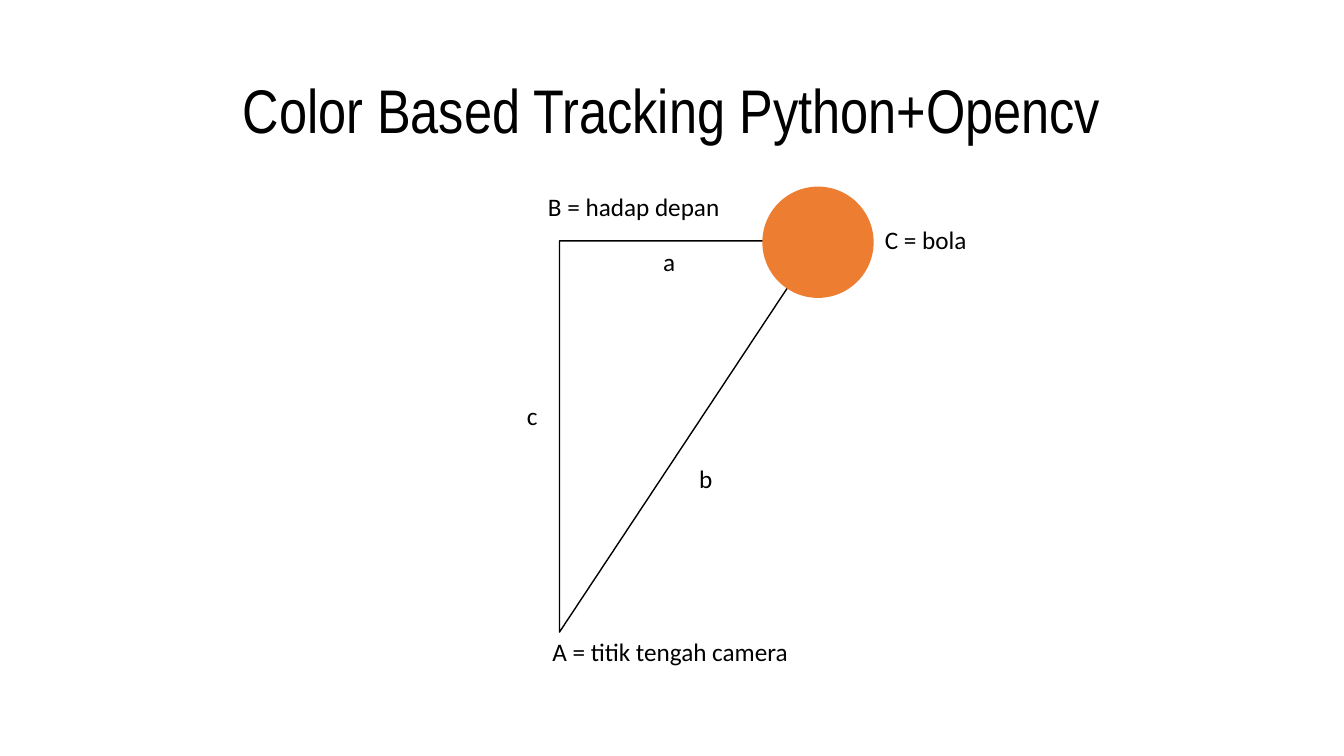
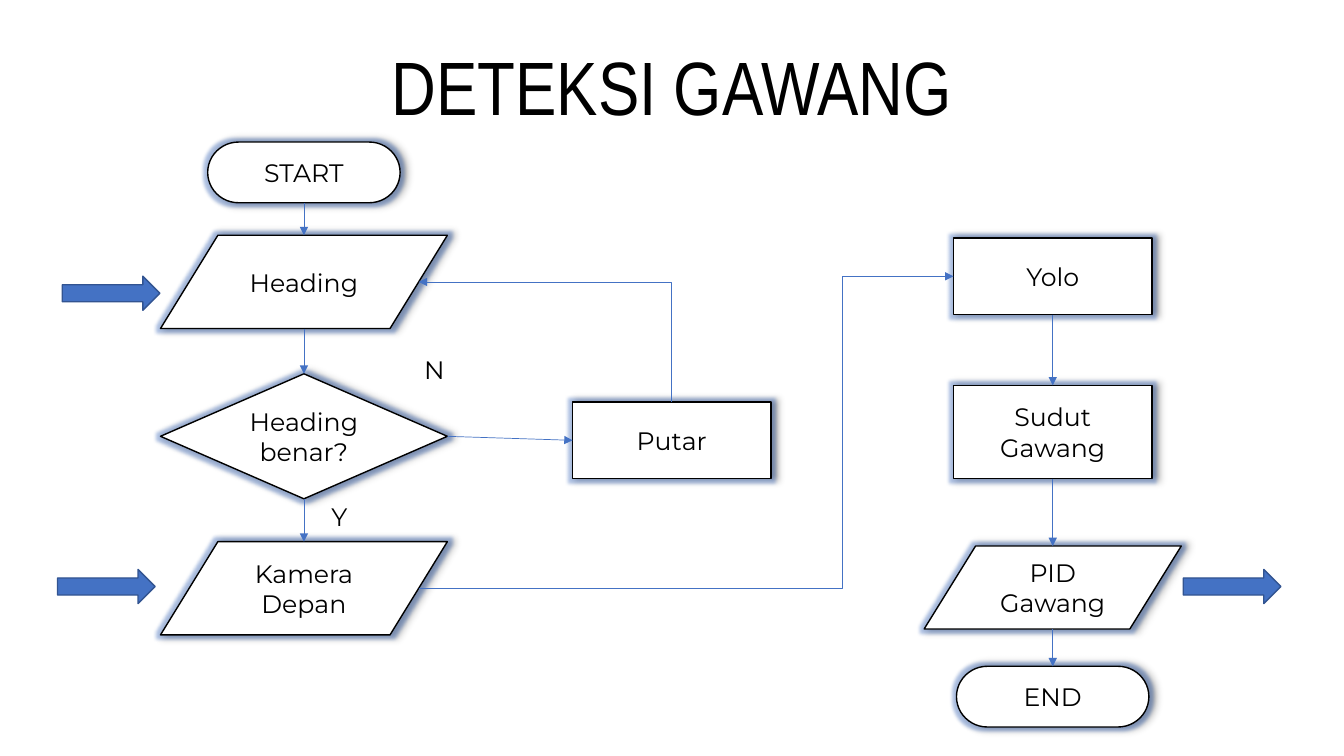
from dataclasses import dataclass

from lxml import etree
from pptx import Presentation
from pptx.dml.color import RGBColor
from pptx.enum.shapes import MSO_CONNECTOR, MSO_SHAPE
from pptx.enum.text import MSO_ANCHOR, MSO_AUTO_SIZE, PP_ALIGN
from pptx.oxml import parse_xml
from pptx.oxml.ns import nsdecls, qn
from pptx.util import Cm, Pt

TERMINATOR = MSO_SHAPE.FLOWCHART_TERMINATOR
INPUT_OUTPUT = MSO_SHAPE.FLOWCHART_DATA
PROCESS = MSO_SHAPE.FLOWCHART_PROCESS
DECISION = MSO_SHAPE.FLOWCHART_DECISION
STRAIGHT, ELBOW = MSO_CONNECTOR.STRAIGHT, MSO_CONNECTOR.ELBOW
LEFT, CENTER = PP_ALIGN.LEFT, PP_ALIGN.CENTER
TITLE_ONLY = 5


@dataclass(frozen=True)
class Theme:
    ink: str = "000000"
    paper: str = "FFFFFF"
    blue: str = "4472C4"
    dark_blue: str = "325491"
    orange: str = "ED7D31"
    title_font: str = "Arial Narrow"
    body_font: str = "Calibri"
    flow_font: str = "Montserrat"
    body_size: float = 18
    outline: float = 1
    thin: float = 0.5


theme = Theme()


def write(text_frame, text, font, size, alignment):
    """Put one formatted run in the first paragraph."""
    paragraph = text_frame.paragraphs[0]
    paragraph.alignment = alignment
    run = paragraph.add_run()
    run.text = text
    run.font.name = font
    run.font.size = Pt(size)
    run.font.color.rgb = RGBColor.from_string(theme.ink)
    return paragraph


def add_figure(slide, kind, box, fill, line):
    """Add a flat shape; box is left, top, width, height in centimetres."""
    shape = slide.shapes.add_shape(kind, *map(Cm, box))
    shape.shadow.inherit = False
    if fill:
        shape.fill.solid()
        shape.fill.fore_color.rgb = RGBColor.from_string(fill)
    else:
        shape.fill.background()
    shape.line.color.rgb = RGBColor.from_string(line)
    shape.line.width = Pt(theme.outline)
    return shape


presentation = Presentation()
presentation.slide_width, presentation.slide_height = Cm(33.87), Cm(19.05)

# Slides and titles
slides = []
for text, size, top in [
    ("Color Based Tracking Python+Opencv", 44, 1.02),
    ("DETEKSI GAWANG", 54, 0.46),
]:
    slide = presentation.slides.add_slide(presentation.slide_layouts[TITLE_ONLY])
    title = slide.shapes.title
    title.left, title.top, title.width, title.height = map(Cm, (2.33, top, 29.21, 3.68))
    title.text_frame.vertical_anchor = MSO_ANCHOR.MIDDLE
    write(title.text_frame, text, theme.title_font, size, CENTER).line_spacing = 0.9
    slides.append(slide)
tracking, detection = slides

# Triangle between camera and ball
triangle = add_figure(tracking, MSO_SHAPE.RIGHT_TRIANGLE, (14.1, 6.07, 6.53, 9.86), None, theme.ink)
triangle._element.spPr.find(qn("a:xfrm")).set("flipV", "1")
add_figure(tracking, MSO_SHAPE.OVAL, (19.23, 4.72, 2.77, 2.77), theme.orange, theme.orange)

# Flowchart nodes: name, text, kind, centre x, top, width, height
left_column, middle_column, right_column = 7.66, 16.93, 26.53
nodes = {}
for name, text, kind, center, top, width, height in [
    ("start", "START", TERMINATOR, left_column, 3.58, 4.85, 1.53),
    ("heading", "Heading", INPUT_OUTPUT, left_column, 5.93, 7.23, 2.35),
    ("check", "Heading benar?", DECISION, left_column, 9.42, 7.23, 3.15),
    ("camera", "Kamera Depan", INPUT_OUTPUT, left_column, 13.65, 7.23, 2.35),
    ("turn", "Putar", PROCESS, middle_column, 10.13, 5, 1.93),
    ("yolo", "Yolo", PROCESS, right_column, 6, 5, 1.93),
    ("angle", "Sudut Gawang", PROCESS, right_column, 9.71, 5, 2.35),
    ("pid", "PID Gawang", INPUT_OUTPUT, right_column, 13.76, 6.48, 2.09),
    ("end", "END", TERMINATOR, right_column, 16.79, 4.85, 1.53),
]:
    box = (center - width / 2, top, width, height)
    node = add_figure(detection, kind, box, theme.paper, theme.ink)
    node.text_frame.word_wrap = True
    node.text_frame.vertical_anchor = MSO_ANCHOR.MIDDLE
    write(node.text_frame, text, theme.flow_font, theme.body_size, CENTER)
    # Blue glow with a soft shadow to the right
    effects = node._element.spPr.find(qn("a:effectLst"))
    for tag, attributes, color, alpha in [
        ("glow", f'rad="{Pt(5)}"', theme.blue, 40000),
        ("outerShdw", f'blurRad="{Pt(4)}" dist="{Pt(3)}" dir="0"', theme.ink, 40000),
    ]:
        effects.append(parse_xml(
            f'<a:{tag} {nsdecls("a")} {attributes}><a:srgbClr val="{color}">'
            f'<a:alpha val="{alpha}"/></a:srgbClr></a:{tag}>'
        ))
    nodes[name] = node

# Block arrows for inputs and output
for left, top in [(1.57, 6.96), (1.45, 14.35), (29.82, 14.35)]:
    add_figure(detection, MSO_SHAPE.RIGHT_ARROW, (left, top, 2.46, 0.86), theme.blue, theme.dark_blue)

# Connectors, glued to the nodes; each side has its place and site number
places = {"top": (0.5, 0), "left": (0, 0.5), "bottom": (0.5, 1), "right": (1, 0.5)}
slanted_places = {**places, "left": (0.1, 0.5), "right": (0.9, 0.5)}
sites = {"top": 0, "left": 1, "bottom": 2, "right": 3}
slanted_sites = {"top": 1, "left": 2, "bottom": 4, "right": 5}
for source, source_side, target, target_side, route in [
    ("start", "bottom", "heading", "top", "straight"),
    ("heading", "bottom", "check", "top", "straight"),
    ("check", "bottom", "camera", "top", "straight"),
    ("check", "right", "turn", "left", "straight"),
    ("yolo", "bottom", "angle", "top", "straight"),
    ("angle", "bottom", "pid", "top", "straight"),
    ("pid", "bottom", "end", "top", "straight"),
    ("camera", "right", "yolo", "left", "step"),
    ("turn", "top", "heading", "right", "corner"),
]:
    points, glue = [], []
    for tag, name, side in [("a:stCxn", source, source_side), ("a:endCxn", target, target_side)]:
        node = nodes[name]
        slanted = node.auto_shape_type == INPUT_OUTPUT
        across, down = (slanted_places if slanted else places)[side]
        points += [round(node.left + across * node.width), round(node.top + down * node.height)]
        glue.append((tag, node.shape_id, (slanted_sites if slanted else sites)[side]))
    if route == "corner":
        # A quarter turn swaps width and height around the same centre
        x1, y1, x2, y2 = points
        center_x, center_y = (x1 + x2) // 2, (y1 + y2) // 2
        half_width, half_height = abs(y2 - y1) // 2, abs(x2 - x1) // 2
        points = [center_x - half_width, center_y - half_height,
                  center_x + half_width, center_y + half_height]
    connector = detection.shapes.add_connector(STRAIGHT if route == "straight" else ELBOW, *points)
    connector.line.color.rgb = RGBColor.from_string(theme.blue)
    connector.line.width = Pt(theme.thin)
    properties = connector._element.spPr
    geometry = properties.find(qn("a:prstGeom"))
    if route == "corner":
        geometry.set("prst", "bentConnector2")
        frame = properties.find(qn("a:xfrm"))
        frame.set("rot", "16200000")
        frame.set("flipV", "1")
    elif route == "step":
        guides = geometry.find(qn("a:avLst"))
        if guides is None:
            guides = etree.SubElement(geometry, qn("a:avLst"))
        etree.SubElement(guides, qn("a:gd"), name="adj1", fmla="val 79300")
    etree.SubElement(properties.find(qn("a:ln")), qn("a:tailEnd"), type="triangle")
    etree.SubElement(properties, qn("a:effectLst"))
    links = connector._element.find(".//" + qn("p:cNvCxnSpPr"))
    for tag, shape_id, site in glue:
        etree.SubElement(links, qn(tag), id=str(shape_id), idx=str(site))

# Labels on both slides
for slide, text, font, left, top, width in [
    (tracking, "A = titik tengah camera", theme.body_font, 13.67, 15.9, 6.53),
    (tracking, "B = hadap depan", theme.body_font, 13.56, 4.7, 4.9),
    (tracking, "C = bola", theme.body_font, 22.05, 5.54, 2.59),
    (tracking, "a", theme.body_font, 16.46, 6.07, 0.86),
    (tracking, "b", theme.body_font, 17.37, 11.56, 0.86),
    (tracking, "c", theme.body_font, 13.03, 9.96, 0.79),
    (detection, "Y", theme.flow_font, 8.1, 12.5, 0.9),
    (detection, "N", theme.flow_font, 10.44, 8.81, 0.95),
]:
    label = slide.shapes.add_textbox(Cm(left), Cm(top), Cm(width), Cm(1.02))
    label.text_frame.word_wrap = False
    label.text_frame.auto_size = MSO_AUTO_SIZE.SHAPE_TO_FIT_TEXT
    write(label.text_frame, text, font, theme.body_size, LEFT)

presentation.save("out.pptx")
